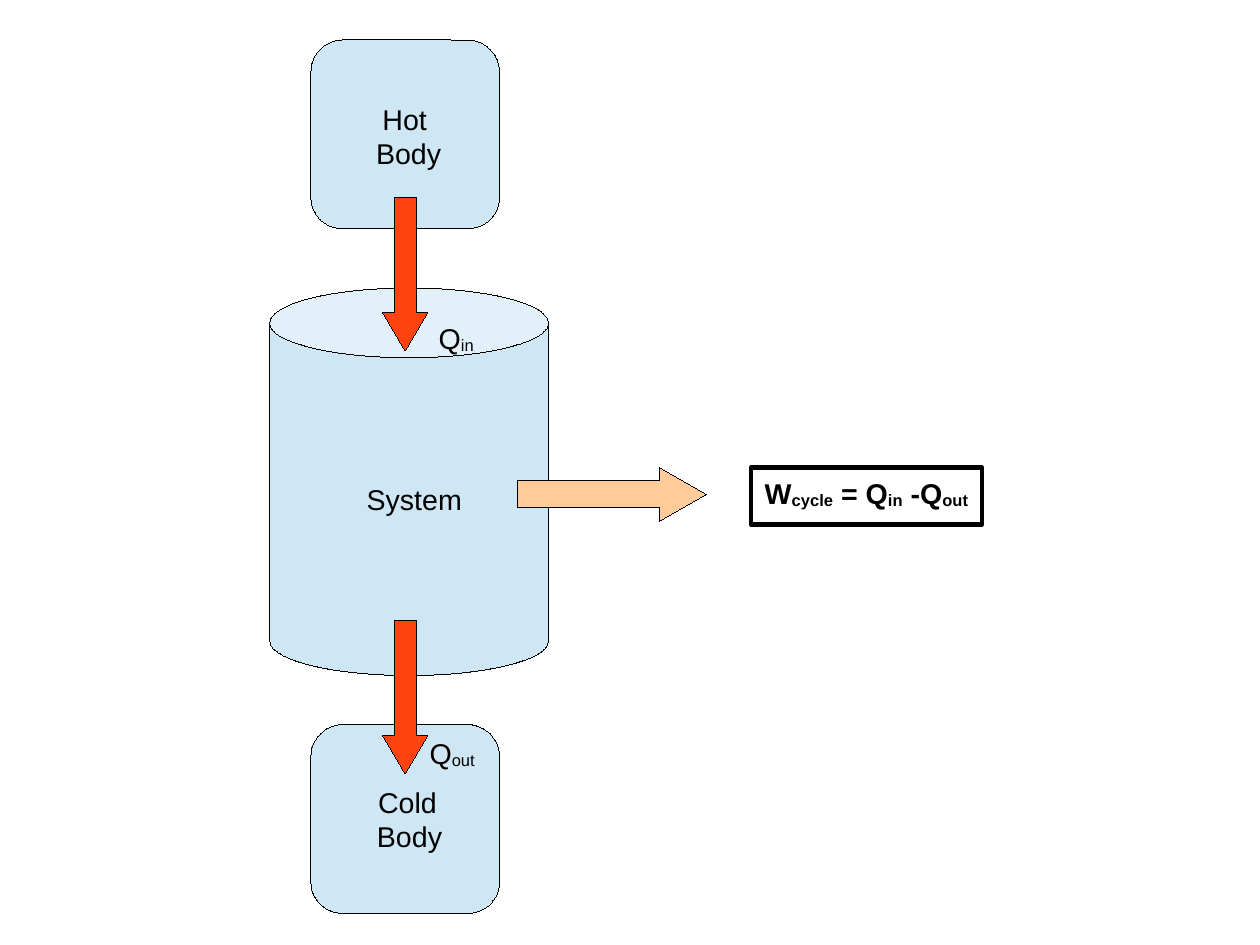
import pptx
import pptx.util
import pptx.dml.color
import pptx.enum.shapes
import pptx.enum.text

Inches = pptx.util.Inches
Pt = pptx.util.Pt
Shape = pptx.enum.shapes.MSO_SHAPE
LEFT = pptx.enum.text.PP_ALIGN.LEFT
CENTER = pptx.enum.text.PP_ALIGN.CENTER

COLORS = {"body": "CFE7F5", "heat": "FF420E", "work": "FFCC99", "ink": "000000"}
SUBSCRIPT = "-8000"
HAIRLINE = Pt(0.01)
CM_PER_INCH = 2.54


def color(name):
    return pptx.dml.color.RGBColor.from_string(COLORS[name])


def add_label(page, place, lines, bold=False, margins=(0.1, 0.05)):
    box = page.shapes.add_textbox(*map(Inches, place))
    frame = box.text_frame
    frame.word_wrap = False
    frame.auto_size = pptx.enum.text.MSO_AUTO_SIZE.SHAPE_TO_FIT_TEXT
    frame.margin_left = frame.margin_right = Inches(margins[0])
    frame.margin_top = frame.margin_bottom = Inches(margins[1])
    for number, (alignment, parts) in enumerate(lines):
        para = frame.add_paragraph() if number else frame.paragraphs[0]
        para.alignment = alignment
        para.font.name = "Arial"
        para.font.size = Pt(18)
        para.font.bold = bold
        para.font.color.rgb = color("ink")
        for position, part in enumerate(parts):
            span = para.add_run()
            span.text = part
            if position % 2:
                span.font._element.set("baseline", SUBSCRIPT)
    return box


deck = pptx.Presentation()
deck.slide_width = Inches(28 / CM_PER_INCH)
deck.slide_height = Inches(21 / CM_PER_INCH)
page = deck.slides.add_slide(deck.slide_layouts[6])

bodies = [
    (Shape.CAN, (2.36, 2.52, 2.44, 3.39), [0.25], "body"),
    (Shape.ROUNDED_RECTANGLE, (2.72, 0.35, 1.65, 1.65), [0.167], "body"),
    (Shape.ROUNDED_RECTANGLE, (2.72, 6.34, 1.65, 1.65), [0.167], "body"),
]
arrows = [
    (Shape.DOWN_ARROW, (3.35, 1.73, 0.39, 1.34), [0.5, 0.85], "heat"),
    (Shape.DOWN_ARROW, (3.35, 5.43, 0.39, 1.34), [0.5, 0.85], "heat"),
    (Shape.RIGHT_ARROW, (4.53, 4.09, 1.65, 0.47), [0.5, 0.875], "work"),
]
for kind, place, adjustments, fill in bodies + arrows:
    shape = page.shapes.add_shape(kind, *map(Inches, place))
    shape.shadow.inherit = False
    for index, value in enumerate(adjustments):
        shape.adjustments[index] = value
    shape.fill.solid()
    shape.fill.fore_color.rgb = color(fill)
    shape.line.color.rgb = color("ink")
    shape.line.width = HAIRLINE

labels = [
    ((3.11, 4.17, 1.06, 0.38), [(LEFT, ["System"])]),
    ((3.74, 2.76, 0.53, 0.46), [(LEFT, ["Q", "in"])]),
    ((3.66, 6.39, 0.62, 0.46), [(LEFT, ["Q", "out"])]),
    ((3.2, 6.82, 0.8, 0.66), [(CENTER, ["Cold "]), (LEFT, ["Body"])]),
    ((3.19, 0.84, 0.77, 0.66), [(CENTER, ["Hot "]), (CENTER, ["Body"])]),
]
for place, lines in labels:
    add_label(page, place, lines)

work_formula = [(CENTER, ["W", "cycle", " = Q", "in", " -Q", "out"])]
work_box = add_label(page, (6.57, 4.09, 2.02, 0.5), work_formula, True, (0.12, 0.07))
work_box.line.color.rgb = color("ink")
work_box.line.width = Pt(2.83)

deck.save("out.pptx")
